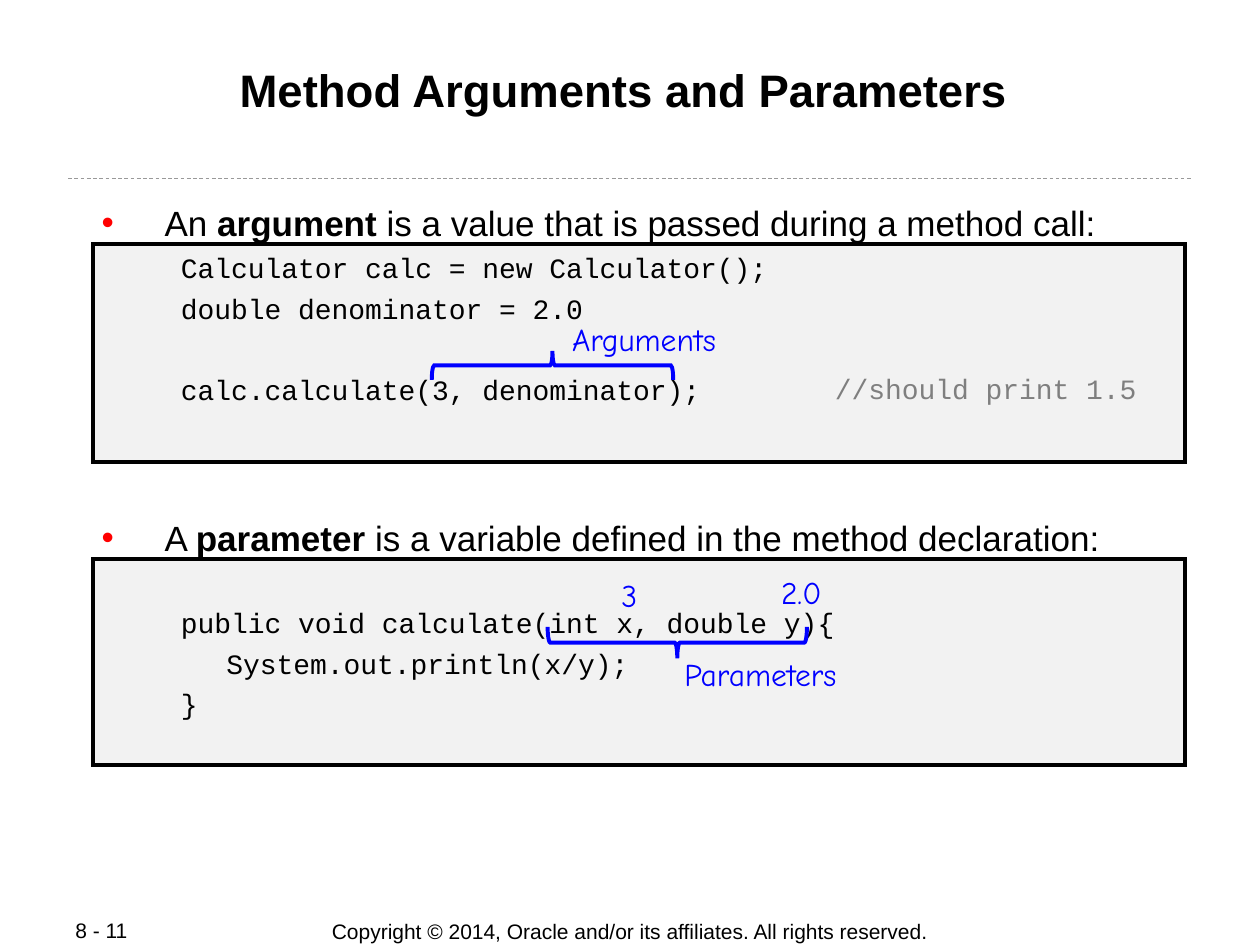
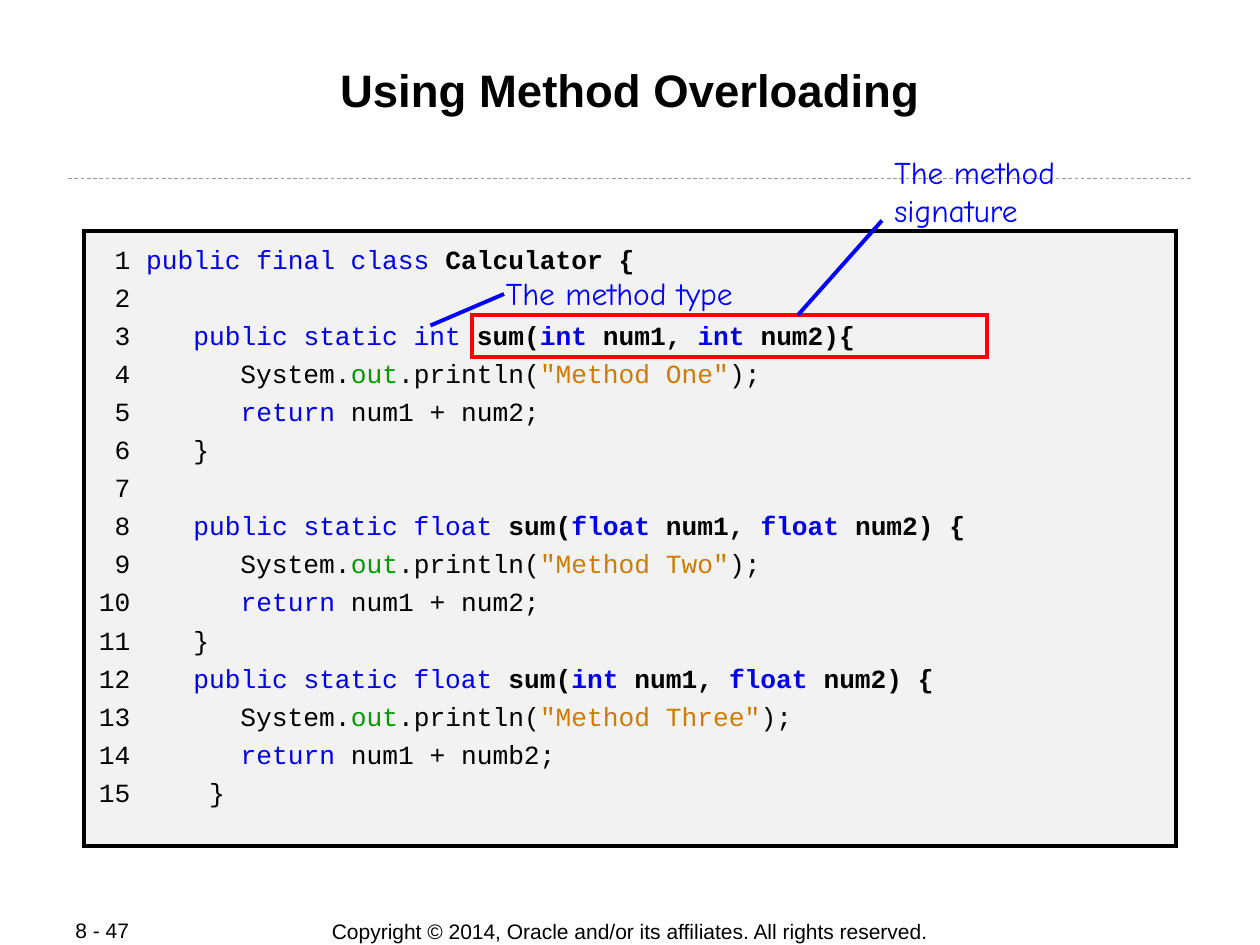
from lxml.etree import SubElement as Sub
from pptx import Presentation as Deck
from pptx.dml.color import RGBColor as RGB
from pptx.enum.dml import MSO_LINE_DASH_STYLE as Dash
from pptx.enum.shapes import MSO_CONNECTOR as Link, MSO_SHAPE as Form
from pptx.enum.text import MSO_ANCHOR as Anchor, PP_ALIGN as Align
from pptx.oxml.ns import qn
from pptx.util import Inches, Pt

HUES = {
    "ink": "000000", "panel": "F2F2F2", "rule": "999999", "note": "0000FF",
    "red": "FF0000", "gray": "7F7F7F", "key": "0000E6", "field": "009900",
    "quote": "CE7B00",
}
COLS, ROWS = 120, 90
WIDE, HIGH = Inches(10), Inches(7.5)
SANS, MONO, HAND = "Arial", "Courier New", "Comic Neue"
TIGHT = 0.12
LEGAL = "Copyright © 2014, Oracle and/or its affiliates. All rights reserved."


def hue(name):
    return RGB.from_string(HUES[name])


class Page:
    def __init__(self, deck):
        self.deck = deck
        self.slide = None

    def cells(self, *grid):
        sizes = (WIDE / COLS, HIGH / ROWS)
        return [int(n * sizes[i % 2]) for i, n in enumerate(grid)]

    def start(self, title, number):
        self.slide = self.deck.slides.add_slide(self.deck.slide_layouts[6])
        for text, at, side in ((LEGAL, (28, 87.4, 64, 2.5), Align.CENTER),
                               (number, (6, 87.4, 12.7, 2.4), Align.LEFT)):
            frame = self.frame(at, (1.2, 0.6), wrap=False)
            frame.vertical_anchor = Anchor.MIDDLE
            self.line(frame, text, 12, side=side)
        self.link((6.5, 17), (113.5, 17), "rule", 0.5, Dash.DASH)
        frame = self.frame((8, 5.8, 104, 11), (TIGHT, TIGHT))
        self.line(frame, title, 26, side=Align.CENTER, bold=True)

    def frame(self, at, pads=(1.2, 0.6), wrap=True):
        frame = self.slide.shapes.add_textbox(*self.cells(*at)).text_frame
        frame.word_wrap = wrap
        across, down = self.cells(*pads)
        frame.margin_left = frame.margin_right = across
        frame.margin_top = frame.margin_bottom = down
        return frame

    def line(self, frame, parts, size, face=SANS, color="ink", side=Align.LEFT,
             bold=False, gap=0, left=0, first=0, dot=False):
        para = frame.paragraphs[0]
        if para.runs:
            para = frame.add_paragraph()
            para.space_before = Pt(gap)
        para.alignment = side
        props = para._p.get_or_add_pPr()
        props.set("marL", str(Inches(left)))
        props.set("indent", str(Inches(first)))
        if dot:
            tint = Sub(props, qn("a:buClr"))
            Sub(tint, qn("a:srgbClr"), val=HUES["red"])
            Sub(props, qn("a:buFont"), typeface=SANS)
            Sub(props, qn("a:buChar"), char="•")
        font = para.font
        font.name, font.size, font.bold = face, Pt(size), bold
        font.color.rgb = hue(color)
        if isinstance(parts, str):
            parts = [(parts, color, bold)]
        for text, tone, heavy in parts:
            run = para.add_run()
            run.text = text
            if tone != color:
                run.font.color.rgb = hue(tone)
            if heavy != bold:
                run.font.bold = heavy

    def point(self, frame, lead, term, rest, gap=0):
        parts = [(lead, "ink", False), (term, "ink", True), (rest, "ink", False)]
        self.line(frame, parts, 20, gap=gap, left=0.63, first=-0.5, dot=True)

    def code(self, frame, text, gap=4, left=0.76):
        self.line(frame, text, 16, MONO, gap=gap, left=left)

    def label(self, text, at):
        self.line(self.frame(at), text, 18, HAND, "note")

    def shape(self, form, at, edge, fill=None, turn=0):
        shape = self.slide.shapes.add_shape(form, *self.cells(*at))
        shape.shadow.inherit = False
        if fill:
            shape.fill.solid()
            shape.fill.fore_color.rgb = hue(fill)
        else:
            shape.fill.background()
        shape.line.color.rgb = hue(edge)
        shape.line.width = Pt(2.25)
        Sub(shape.line._ln, qn("a:miter"), lim="800000")
        shape.rotation = turn

    def panel(self, *at):
        self.shape(Form.RECTANGLE, at, "ink", "panel")

    def brace(self, at, turn):
        self.shape(Form.RIGHT_BRACE, at, "note", turn=turn)

    def link(self, start, end, color="note", width=2.25, dash=None):
        link = self.slide.shapes.add_connector(
            Link.STRAIGHT, *self.cells(*start, *end))
        link.line.color.rgb = hue(color)
        link.line.width = Pt(width)
        if dash:
            link.line.dash_style = dash
        Sub(link._element.spPr, qn("a:effectLst"))


def method(kind, one, two, word, tail=") {", last="num2", close="   }"):
    return [
        [("   ", "ink", False), (f"public static {kind} ", "key", False),
         ("sum(", "ink", True), (one, "key", True), (" num1, ", "ink", True),
         (two, "key", True), (f" num2{tail}", "ink", True)],
        [("      System.", "ink", False), ("out", "field", False),
         (".println(", "ink", False), (f'"Method {word}"', "quote", False),
         (");", "ink", False)],
        [("      ", "ink", False), ("return", "key", False),
         (f" num1 + {last};", "ink", False)],
        [(close, "ink", False)],
    ]


def terms(page):
    page.start("Method Arguments and Parameters ", "8 - 11")
    page.panel(8.88, 53.28, 104, 19.56)
    page.panel(8.88, 23.28, 104, 20.76)
    body = page.frame((8, 19.1, 103.3, 53), (TIGHT, TIGHT))
    page.point(body, "An ", "argument",
               " is a value that is passed during a method call:")
    page.code(body, "Calculator calc = new Calculator();")
    page.code(body, "double denominator = 2.0")
    page.code(body, "calc.calculate(3, denominator);", gap=27.1)
    page.point(body, "A ", "parameter",
               " is a variable defined in the method declaration:", gap=63)
    page.code(body, "public void calculate(int x, double y){", gap=27.1)
    page.code(body, "System.out.println(x/y);", left=1.12)
    page.code(body, "}")
    remark = page.frame((79.4, 35.23, 32, 3.5), (TIGHT, TIGHT))
    page.line(remark, "//should print 1.5", 16, MONO, "gray")
    page.brace((51.25, 23.3, 2.75, 23), 270)
    page.label("Arguments", (53.3, 29.9, 42.6, 4.8))
    page.brace((63, 48.85, 3, 24.7), 90)
    page.label("Parameters", (64, 61.8, 42.6, 4.8))
    page.label("3", (58, 54.25, 4.3, 4.8))
    page.label("2.0", (73.2, 53.95, 11.6, 4.8))


def overload(page):
    page.start("Using Method Overloading", "8 - 47")
    page.panel(8, 22, 104, 58.6)
    head = [("public final class ", "key", False), ("Calculator {", "ink", True)]
    lines = [head, [],
             *method("int", "int", "int", "One", tail="){"), [],
             *method("float", "float", "float", "Two"),
             *method("float", "int", "float", "Three", last="numb2",
                     close="    }")]
    body = page.frame((8, 23.06, 105, 54.2), (1.2, TIGHT))
    for count, parts in enumerate(lines, 1):
        mark = f"{count:>2} " if parts else f"{count:>2}"
        page.line(body, [(mark, "ink", False), *parts], 15, MONO, gap=3.75,
                  left=0.02)
    page.label("The method type", (47, 25.5, 32, 8.4))
    page.link((41, 31), (48, 28))
    page.shape(Form.RECTANGLE, (45, 30, 49, 4), "red")
    page.label("The method signature", (84, 14, 30, 12))
    page.link((84, 21), (76, 30))


def main():
    deck = Deck()
    deck.slide_width, deck.slide_height = WIDE, HIGH
    page = Page(deck)
    terms(page)
    overload(page)
    deck.save("out.pptx")


if __name__ == "__main__":
    main()
